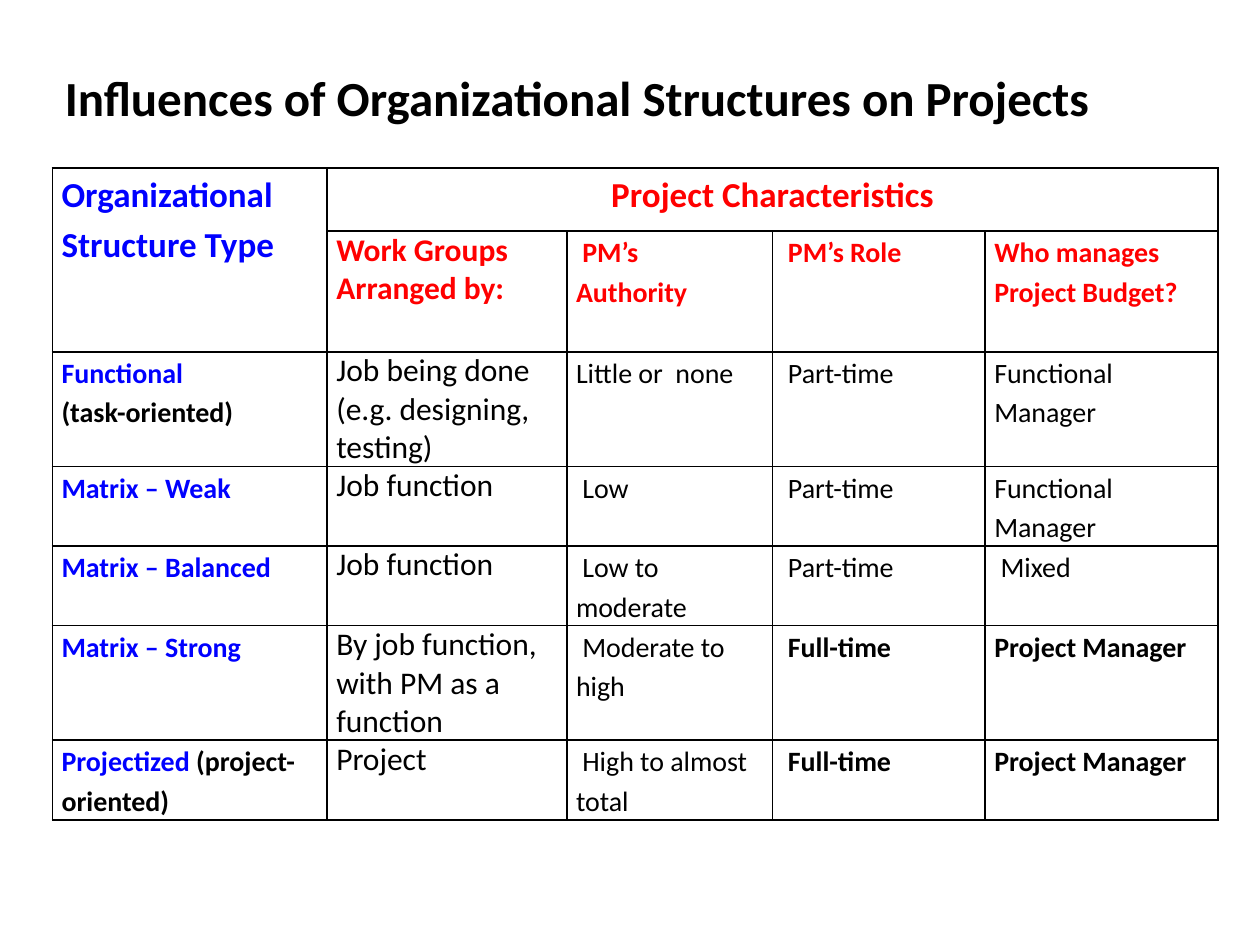
import pptx
import pptx.util
import pptx.dml.color
import pptx.enum.text
import lxml.etree

Pt = pptx.util.Pt
ALIGN = pptx.enum.text.PP_ALIGN
BLACK, BLUE, RED = "000000", "0000FF", "FF0000"

TITLE = "Influences of Organizational Structures on Projects"
CORNER = "Organizational Structure Type"
BANNER = "Project Characteristics"
HEADS = ["Work Groups\nArranged by:", " PM’s\nAuthority", " PM’s Role",
         "Who manages\nProject Budget?"]
# type, note to the type, work groups, authority, role, budget
ROWS = [
    ("Functional", "\n(task-oriented)", "Job being done (e.g. designing, testing)",
     "Little or  none", " Part-time", "Functional Manager"),
    ("Matrix – Weak", "", "Job function",
     " Low", " Part-time", "Functional Manager"),
    ("Matrix – Balanced", "", "Job function",
     " Low to moderate", " Part-time", " Mixed"),
    ("Matrix – Strong", "", "By job function, with PM as a function",
     " Moderate to high", " Full-time", "Project Manager"),
    ("Projectized ", "(project-oriented)", "Project",
     " High to almost total", " Full-time", "Project Manager"),
]
STRONG = ("Full-time", "Project Manager")
WIDTHS = [157, 137, 117.5, 121.5, 133]
HEIGHTS = [36, 69, 65.5, 45.5, 45.5, 65.5, 45.5]


def tint(code):
    return pptx.dml.color.RGBColor.from_string(code)


def write(frame, text, size=16, color=BLACK, bold=False, align=ALIGN.LEFT,
          space=1.15, more=False):
    """Write text, one paragraph a line; more=True goes on after what is there."""
    for i, line in enumerate(text.split("\n")):
        if i == 0:
            para = frame.paragraphs[-1 if more else 0]
        else:
            para = frame.add_paragraph()
        para.alignment = align
        para.line_spacing = space
        if line:
            run = para.add_run()
            run.text = line
            run.font.name = "Calibri"
            run.font.size = Pt(size)
            run.font.bold = bold
            run.font.color.rgb = tint(color)


def frame_cell(cell):
    """Set the insets, an empty fill and thin black borders."""
    cell.margin_left = cell.margin_right = Pt(5.2)
    cell.margin_top = cell.margin_bottom = Pt(0)
    props = cell._tc.get_or_add_tcPr()
    space = props.nsmap["a"]
    for side in ("lnL", "lnR", "lnT", "lnB"):
        line = lxml.etree.SubElement(props, f"{{{space}}}{side}", w=str(Pt(1)))
        fill = lxml.etree.SubElement(line, f"{{{space}}}solidFill")
        lxml.etree.SubElement(fill, f"{{{space}}}srgbClr", val=BLACK)
    cell.fill.background()


def add_title(slide):
    box = slide.shapes.add_textbox(Pt(30), Pt(24), Pt(678), Pt(62.5))
    frame = box.text_frame
    frame.word_wrap = True
    frame.vertical_anchor = pptx.enum.text.MSO_ANCHOR.MIDDLE
    write(frame, TITLE, size=28, bold=True, space=1)


def add_grid(slide):
    shape = slide.shapes.add_table(len(HEIGHTS), len(WIDTHS), Pt(30), Pt(96),
                                   Pt(sum(WIDTHS)), Pt(sum(HEIGHTS)))
    table = shape.table
    table.first_row = table.horz_banding = False
    for col, width in zip(table.columns, WIDTHS):
        col.width = Pt(width)
    for row, height in zip(table.rows, HEIGHTS):
        row.height = Pt(height)
    for cell in table.iter_cells():
        frame_cell(cell)
    table.cell(0, 0).merge(table.cell(1, 0))
    table.cell(0, 1).merge(table.cell(0, 4))

    def put(row, col, text, **form):
        if row and col == 1:
            form.update(size=18, space=1)
        write(table.cell(row, col).text_frame, text, **form)

    put(0, 0, CORNER, size=20, color=BLUE, bold=True)
    put(0, 1, BANNER, size=20, color=RED, bold=True, align=ALIGN.CENTER)
    for c, head in enumerate(HEADS, 1):
        put(1, c, head, color=RED, bold=True)
    for r, (kind, note, *facts) in enumerate(ROWS, 2):
        put(r, 0, kind, color=BLUE, bold=True)
        if note:
            put(r, 0, note, bold=True, more=True)
        for c, fact in enumerate(facts, 1):
            put(r, c, fact, bold=fact.strip() in STRONG)


def main():
    deck = pptx.Presentation()
    deck.slide_width, deck.slide_height = Pt(720), Pt(540)
    slide = deck.slides.add_slide(deck.slide_layouts[6])
    add_title(slide)
    add_grid(slide)
    deck.save("out.pptx")


if __name__ == "__main__":
    main()
